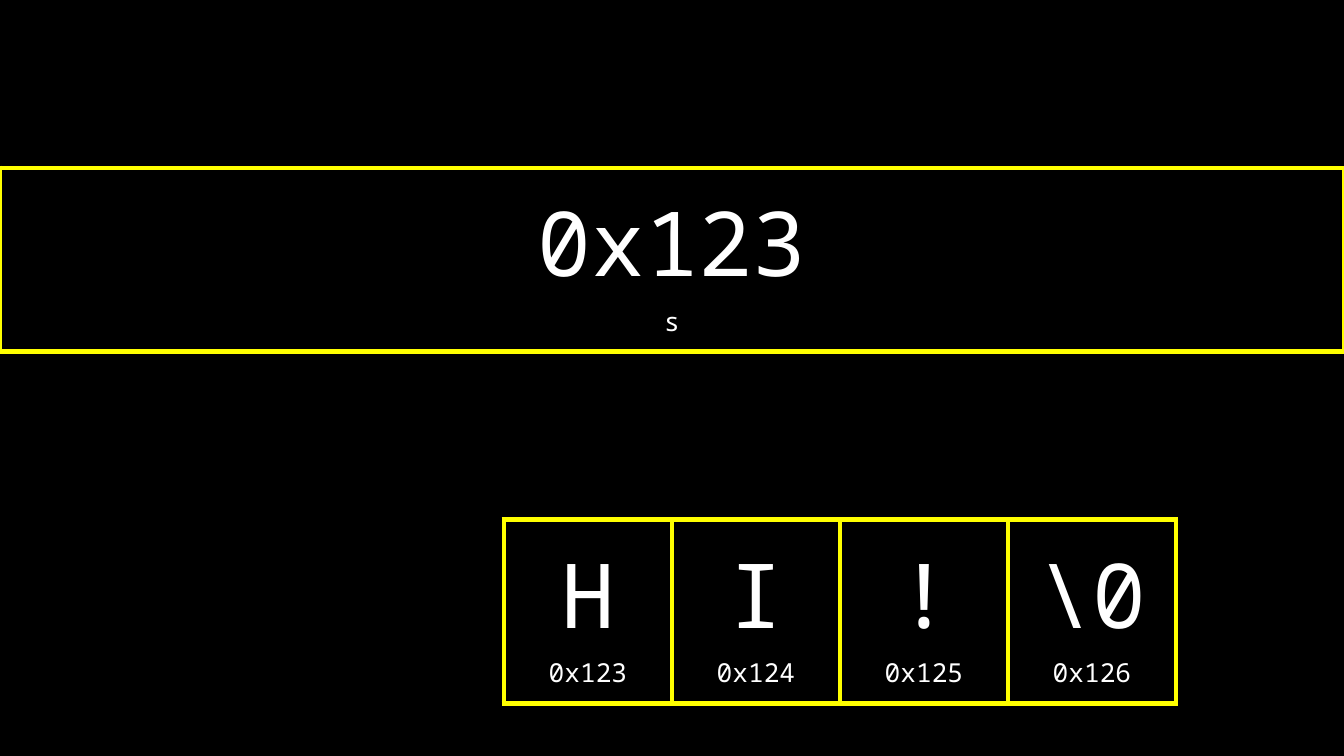
import dataclasses

import lxml.etree
import pptx
import pptx.dml.color
import pptx.enum.text
import pptx.oxml.ns
import pptx.table
import pptx.util

PIXELS_PER_INCH = 134.4
SLIDE_WIDTH, SLIDE_HEIGHT = 1344, 756
CELL_SIZE = 168
CELL_MARGIN = 13
ROW_COUNT, COLUMN_COUNT = 5, 8
BORDER_POINTS = 3
FONT_NAME = "Noto Sans Mono"
BLACK, WHITE, YELLOW = "000000", "FFFFFF", "FFFF00"
NEIGHBOURS = {"lnL": (0, -1), "lnR": (0, 1), "lnT": (-1, 0), "lnB": (1, 0)}


@dataclasses.dataclass(frozen=True)
class MemoryBox:
    value: str
    label: str
    row: int
    column: int
    span: int = 1

    def positions(self) -> set[tuple[int, int]]:
        return {(self.row, self.column + offset) for offset in range(self.span)}


POINTER = MemoryBox("0x123", "s", row=1, column=0, span=COLUMN_COUNT)
CHARACTERS = [
    MemoryBox(character, f"0x{0x123 + index:x}", row=3, column=3 + index)
    for index, character in enumerate(["H", "I", "!", "\\0"])
]


def px(length: int) -> pptx.util.Emu:
    return pptx.util.Emu(round(length * 914400 / PIXELS_PER_INCH))


def color(value: str) -> pptx.dml.color.RGBColor:
    return pptx.dml.color.RGBColor.from_string(value)


def write_text(paragraph, text: str, *, size: int, fill: str = WHITE) -> None:
    paragraph.alignment = pptx.enum.text.PP_ALIGN.CENTER
    run = paragraph.add_run()
    run.text = text
    run.font.name = FONT_NAME
    run.font.size = pptx.util.Pt(size)
    run.font.color.rgb = color(fill)


def add_border(cell: pptx.table._Cell, side: str, visible: bool) -> None:
    qn = pptx.oxml.ns.qn
    properties = cell._tc.get_or_add_tcPr()
    line = lxml.etree.SubElement(properties, qn(f"a:{side}"))
    if visible:
        line.set("w", str(pptx.util.Pt(BORDER_POINTS)))
        fill = lxml.etree.SubElement(line, qn("a:solidFill"))
        lxml.etree.SubElement(fill, qn("a:srgbClr"), val=YELLOW)
    else:
        lxml.etree.SubElement(line, qn("a:noFill"))


def format_cells(table: pptx.table.Table, boxed: set[tuple[int, int]]) -> None:
    for row in range(ROW_COUNT):
        for column in range(COLUMN_COUNT):
            cell = table.cell(row, column)
            if cell.is_spanned:
                continue
            for side, (down, right) in NEIGHBOURS.items():
                touching = {(row, column), (row + down, column + right)}
                add_border(cell, side, bool(touching & boxed))
            cell.fill.background()


def fill_box(table: pptx.table.Table, box: MemoryBox) -> None:
    cell = table.cell(box.row, box.column)
    if box.span > 1:
        cell.merge(table.cell(box.row, box.column + box.span - 1))
    cell.margin_left = cell.margin_right = px(CELL_MARGIN)
    cell.margin_top = cell.margin_bottom = px(CELL_MARGIN)
    cell.vertical_anchor = pptx.enum.text.MSO_ANCHOR.BOTTOM
    write_text(cell.text_frame.paragraphs[0], box.value, size=48)
    write_text(cell.text_frame.add_paragraph(), box.label, size=14)


def main() -> None:
    presentation = pptx.Presentation()
    presentation.slide_width = px(SLIDE_WIDTH)
    presentation.slide_height = px(SLIDE_HEIGHT)
    slide = presentation.slides.add_slide(presentation.slide_layouts[6])
    slide.background.fill.solid()
    slide.background.fill.fore_color.rgb = color(BLACK)

    table = slide.shapes.add_table(
        ROW_COUNT, COLUMN_COUNT, px(0), px(0),
        px(COLUMN_COUNT * CELL_SIZE), px(ROW_COUNT * CELL_SIZE),
    ).table
    table.first_row = False
    table.horz_banding = False

    boxes = [POINTER, *CHARACTERS]
    for box in boxes:
        fill_box(table, box)
    format_cells(table, set().union(*(box.positions() for box in boxes)))
    presentation.save("out.pptx")


if __name__ == "__main__":
    main()
